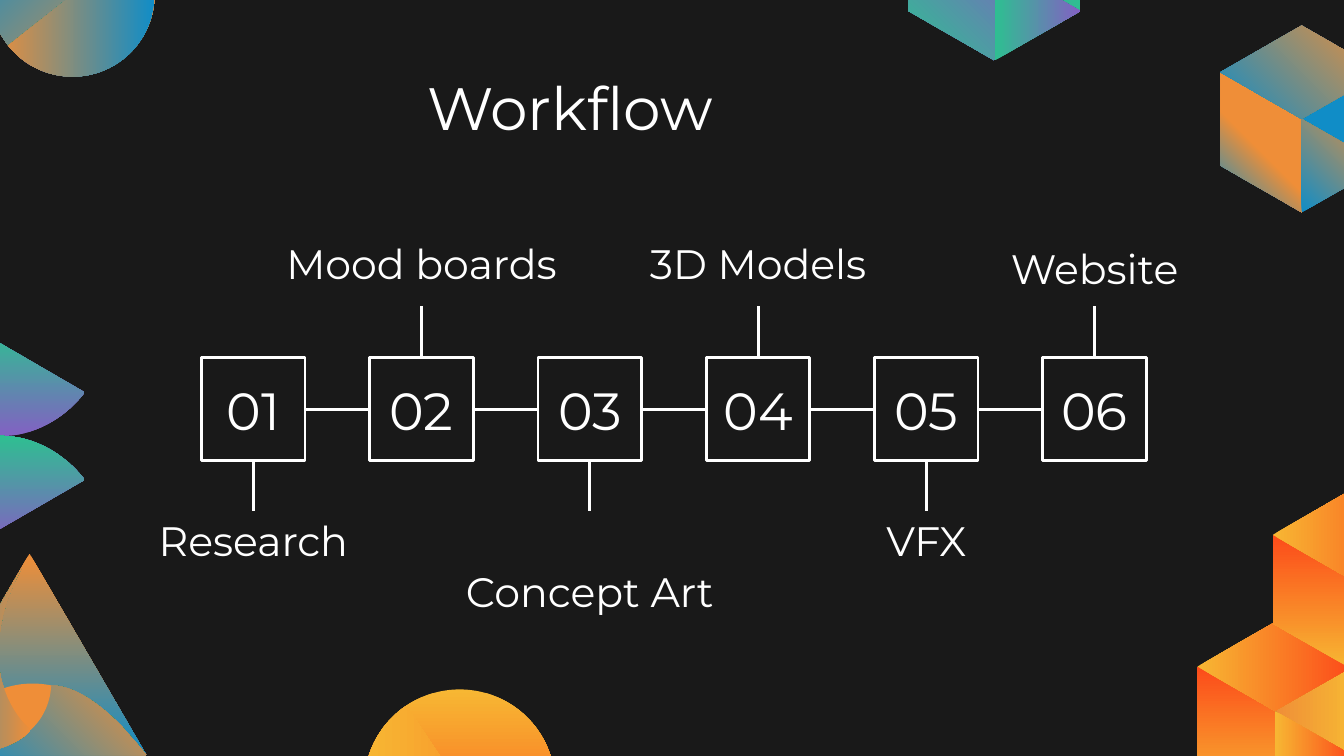
import pptx
import pptx.util
import pptx.dml.color
import pptx.enum.shapes
import pptx.enum.text
import pptx.oxml.ns
import lxml.etree

Inches = pptx.util.Inches
SHAPES = pptx.enum.shapes.MSO_SHAPE
ANCHOR = pptx.enum.text.MSO_ANCHOR
ALIGN = pptx.enum.text.PP_ALIGN

COLORS = {
    "background": "191919", "white": "FFFFFF", "orange": "EF8E38",
    "blue": "108DC7", "grey": "808E80", "yellow": "F7B733",
    "amber": "FA8127", "red": "FC4B1A", "purple": "8360C3",
    "steel": "5E89AD", "teal": "2EBF91",
}


def rgb(name):
    return pptx.dml.color.RGBColor.from_string(COLORS[name])


def trace(start, segments, steps=16):
    """Points of an outline; a segment is (x, y) or a cubic of six numbers."""
    points = [start]
    for segment in segments:
        if len(segment) == 2:
            points.append(segment)
            continue
        nodes = [points[-1], segment[:2], segment[2:4], segment[4:]]
        for step in range(1, steps + 1):
            t = step / steps
            weights = ((1 - t) ** 3, 3 * t * (1 - t) ** 2, 3 * t * t * (1 - t), t ** 3)
            points.append(tuple(sum(w * node[axis] for w, node in zip(weights, nodes))
                                for axis in (0, 1)))
    return points


class Deck:
    font = "Montserrat"
    line_width = pptx.util.Pt(1.5)

    def __init__(self, width, height):
        self.presentation = pptx.Presentation()
        self.presentation.slide_width = Inches(width)
        self.presentation.slide_height = Inches(height)
        self.slide = self.presentation.slides.add_slide(self.presentation.slide_layouts[5])
        self.slide.background.fill.solid()
        self.slide.background.fill.fore_color.rgb = rgb("background")

    def paint(self, shape, paint):
        """Paint is a colour, or (first, last, clockwise angle[, start, end])."""
        shape.shadow.inherit = False
        shape.line.fill.background()
        if isinstance(paint, str):
            shape.fill.solid()
            shape.fill.fore_color.rgb = rgb(paint)
            return
        first, last, angle, *span = paint
        shape.fill.gradient()
        shape.fill.gradient_angle = (360 - angle) % 360
        for stop, color, position in zip(shape.fill.gradient_stops, (first, last), span or (0, 1)):
            stop.color.rgb = rgb(color)
            stop.position = position

    def outline(self, points, paint):
        corners = [(Inches(x), Inches(y)) for x, y in points]
        builder = self.slide.shapes.build_freeform(*corners[0])
        builder.add_line_segments(corners[1:], close=True)
        self.paint(builder.convert_to_shape(), paint)

    def disc(self, kind, left, top, size, paint, angles=()):
        shape = self.slide.shapes.add_shape(
            kind, Inches(left), Inches(top), Inches(size), Inches(size))
        for index, degrees in enumerate(angles):
            shape.adjustments[index] = degrees * 0.6
        self.paint(shape, paint)

    def cube(self, left, top, width, height, faces):
        right, middle, quarter = left + width, left + width / 2, height / 4
        levels = [top + quarter * n for n in range(5)]
        center, bottom = (middle, levels[2]), (middle, levels[4])
        corners = {
            "side": [center, (right, levels[1]), (right, levels[3])],
            "left": [center, bottom, (left, levels[3]), (left, levels[1])],
            "right": [center, bottom, (right, levels[3])],
            "top": [center, (left, levels[1]), (middle, top), (right, levels[1])],
        }
        for face, paint in faces.items():
            self.outline(corners[face], paint)

    def add_text(self, frame, text, size, align, anchor):
        frame.word_wrap = True
        frame.auto_size = pptx.enum.text.MSO_AUTO_SIZE.NONE
        frame.vertical_anchor = anchor
        frame.margin_left = frame.margin_right = Inches(0.1)
        frame.margin_top = frame.margin_bottom = Inches(0.1)
        paragraph = frame.paragraphs[0]
        paragraph.alignment = align
        run = paragraph.add_run()
        run.text = text
        run.font.name = self.font
        run.font.size = pptx.util.Pt(size)
        run.font.color.rgb = rgb("white")

    def title(self, text, left, top, width, height):
        title = self.slide.shapes.title
        title.left, title.top = Inches(left), Inches(top)
        title.width, title.height = Inches(width), Inches(height)
        self.add_text(title.text_frame, text, 32, ALIGN.LEFT, ANCHOR.TOP)

    def label(self, text, left, top, width, height, size, anchor):
        label = self.slide.shapes.add_textbox(
            Inches(left), Inches(top), Inches(width), Inches(height))
        self.add_text(label.text_frame, text, size, ALIGN.CENTER, anchor)

    def square(self, left, top, side):
        square = self.slide.shapes.add_shape(
            SHAPES.RECTANGLE, Inches(left), Inches(top), Inches(side), Inches(side))
        square.shadow.inherit = False
        square.fill.background()
        square.line.color.rgb = rgb("white")
        square.line.width = self.line_width
        return square

    def connector(self, square, site, end=(0, 0), target=None):
        x, y = Inches(end[0]), Inches(end[1])
        connector = self.slide.shapes.add_connector(
            pptx.enum.shapes.MSO_CONNECTOR.STRAIGHT, x, y, x, y)
        connector.begin_connect(square, site)
        if target is not None:
            connector.end_connect(target, 1)
        connector.line.color.rgb = rgb("white")
        connector.line.width = self.line_width
        lxml.etree.SubElement(connector._element.spPr, pptx.oxml.ns.qn("a:effectLst"))


def decorate(deck):
    # Top left disc
    deck.disc(SHAPES.PIE, -0.07, -0.65, 1.22, ("orange", "blue", 225), (0, 270))
    deck.disc(SHAPES.PIE, -0.07, -0.65, 1.22, ("blue", "orange", 180), (0, 141.6))

    # Bottom left cone
    deck.outline([(0.22, 4.12), (1.09, 5.62), (-0.65, 5.62)], ("orange", "blue", 90))
    deck.outline(trace((1.09, 5.62), [
        (1.03, 5.54, 0.97, 5.48, 0.92, 5.42), (0.78, 5.27, 0.57, 5.1, 0.38, 5.1),
        (0.38, 5.15, 0.37, 5.3, 0.22, 5.43), (0.1, 5.57, -0.14, 5.61, -0.35, 5.62),
    ]), ("blue", "orange", 315))
    deck.outline(trace((0.23, 5.43), [
        (0.23, 5.43, 0.1, 5.33, 0.03, 5.12), (0, 5.05, -0.01, 4.95, -0.01, 4.85),
        (-0.01, 4.68, 0.03, 4.47, 0.16, 4.23), (-0.65, 5.62), (-0.33, 5.62),
        (-0.13, 5.61, 0.11, 5.57, 0.23, 5.43),
    ]), ("blue", "orange", 0))
    deck.outline(trace((0.38, 5.1), [
        (0.18, 5.06, 0.04, 5.12, 0.03, 5.12), (0.1, 5.33, 0.23, 5.43, 0.23, 5.43),
        (0.37, 5.3, 0.38, 5.14, 0.38, 5.1),
    ]), "orange")

    # Mirrored wedges on the left edge
    wedge = trace((-0.18, 0.8), [(-0.18, 0), (0.63, 0.47), (0.5, 0.64, 0.31, 0.76, 0.1, 0.79),
                                 (0, 0.8, -0.1, 0.8, -0.18, 0.8)])
    for base, direction in ((2.45, 1), (4.04, -1)):
        deck.outline([(x, base + direction * y) for x, y in wedge], ("purple", "teal", 270))

    # Cubes
    warm = {
        "side": ("orange", "yellow", 0), "left": ("yellow", "red", 270),
        "right": ("yellow", "red", 0), "top": ("yellow", "red", 0),
    }
    deck.cube(8.91, 4.63, 1.15, 1.32, warm)
    deck.cube(9.47, 3.65, 1.15, 1.32, {face: warm[face] for face in ("left", "top")})
    deck.cube(9.08, 0.19, 1.21, 1.39, {
        "side": ("blue", "grey", 0, 0.7, 1), "left": ("blue", "orange", 315, 0, 0.46),
        "right": ("blue", "orange", 315), "top": ("blue", "orange", 315),
    })
    deck.cube(6.76, -1.02, 1.28, 1.47, {
        "side": ("steel", "teal", 0), "left": ("purple", "teal", 135),
        "right": ("teal", "purple", 0),
    })

    # Bottom disc
    deck.disc(SHAPES.OVAL, 2.71, 5.13, 1.42, ("yellow", "red", 90))
    deck.disc(SHAPES.PIE, 2.71, 5.13, 1.42, ("yellow", "amber", 0), (94.5, 236.1))


def main():
    deck = Deck(10, 5.625)
    decorate(deck)
    deck.title("Workflow", 3.08, 0.43, 2.87, 0.63)

    # Steps: name, label top, label width, label height
    steps = [
        ("Research", 3.8, 2.24, 0.5), ("Mood boards", 1.74, 2.54, 0.5),
        ("Concept Art", 3.8, 2.24, 0.88), ("3D Models", 1.74, 2.24, 0.5),
        ("VFX", 3.8, 2.24, 0.5), ("Website", 1.78, 2.24, 0.5),
    ]
    first_left, last_left, row_top, side = 1.5, 7.76, 2.66, 0.77
    pitch = (last_left - first_left) / (len(steps) - 1)
    previous = None
    for index, (name, top, width, height) in enumerate(steps):
        left = first_left + index * pitch
        middle = left + side / 2
        square = deck.square(left, row_top, side)
        deck.label(f"{index + 1:02d}", middle - 0.48, 2.8, 0.96, 0.5, 28, ANCHOR.MIDDLE)
        deck.label(name, middle - width / 2, top, width, height, 22, ANCHOR.BOTTOM)
        above = top < row_top
        deck.connector(square, 0 if above else 2, end=(middle, 2.28 if above else 3.8))
        if previous is not None:
            deck.connector(previous, 3, target=square)
        previous = square

    deck.presentation.save("out.pptx")


if __name__ == "__main__":
    main()
